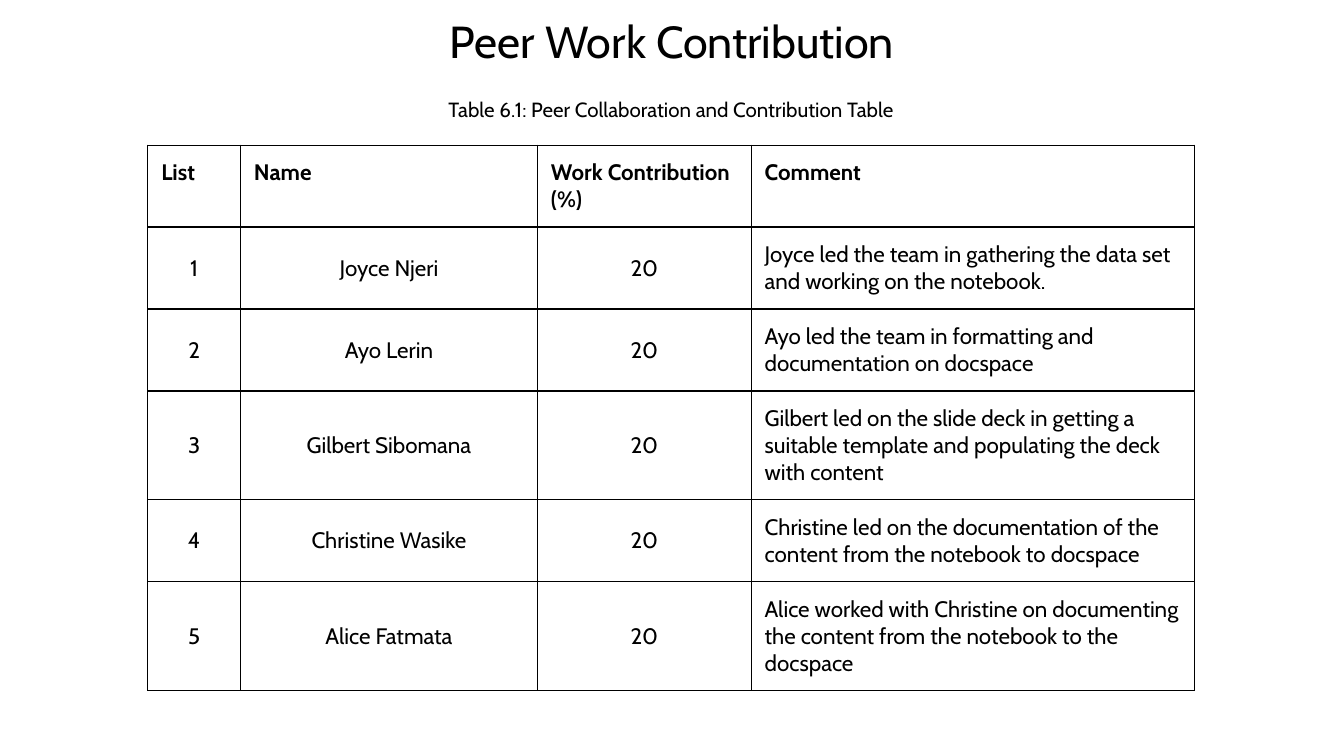
from lxml import etree
from pptx import Presentation
from pptx.dml.color import RGBColor
from pptx.enum.text import MSO_ANCHOR as Anchor, MSO_AUTO_SIZE as AutoSize, PP_ALIGN as Align
from pptx.oxml.ns import qn
from pptx.util import Inches, Pt

COLORS = {"ink": "000000", "paper": "FFFFFF"}
FONT = "Cabin"
INSET = Inches(0.1)


def write(frame, text, size, align=Align.CENTER, bold=False):
    """Put one formatted run into a text frame."""
    frame.word_wrap = True
    paragraph = frame.paragraphs[0]
    paragraph.alignment = align
    run = paragraph.add_run()
    run.text = text
    run.font.name = FONT
    run.font.size = Pt(size)
    run.font.bold = bold
    run.font.color.rgb = RGBColor.from_string(COLORS["ink"])


def set_borders(cell):
    """Draw a thin line on all four sides; lines must precede the fill in tcPr."""
    properties = cell._tc.get_or_add_tcPr()
    for position, side in enumerate(("a:lnL", "a:lnR", "a:lnT", "a:lnB")):
        line = etree.Element(qn(side), w=str(Pt(0.75)))
        fill = etree.SubElement(line, qn("a:solidFill"))
        etree.SubElement(fill, qn("a:srgbClr"), val=COLORS["ink"])
        properties.insert(position, line)


# Widescreen slide, 16:9
prs = Presentation()
prs.slide_width, prs.slide_height = Inches(10), Inches(10 * 9 / 16)
slide = prs.slides.add_slide(prs.slide_layouts[5])
slide.background.fill.solid()
slide.background.fill.fore_color.rgb = RGBColor.from_string(COLORS["paper"])

# Title and table caption
title = slide.shapes.title
title.left, title.top = Inches(0.2), Inches(0)
title.width, title.height = Inches(9.6), Inches(0.63)
caption = slide.shapes.add_textbox(Inches(1.83), Inches(0.63), Inches(6.33), Inches(0.39))
for heading, text, size, fit in (
    (title, "Peer Work Contribution", 24, AutoSize.NONE),
    (caption, "Table 6.1: Peer Collaboration and Contribution Table", 11,
     AutoSize.SHAPE_TO_FIT_TEXT),
):
    frame = heading.text_frame
    frame.margin_left = frame.margin_right = frame.margin_top = frame.margin_bottom = INSET
    frame.vertical_anchor = Anchor.TOP
    frame.auto_size = fit
    write(frame, text, size)

# Contribution table: each row is as tall as its number of text lines needs
headers = ("List", "Name", "Work Contribution (%)", "Comment")
members = (
    ("Joyce Njeri", "Joyce led the team in gathering the data set and working on the notebook."),
    ("Ayo Lerin", "Ayo led the team in formatting and documentation on docspace"),
    ("Gilbert Sibomana", "Gilbert led on the slide deck in getting a suitable template "
                         "and populating the deck with content"),
    ("Christine Wasike", "Christine led on the documentation of the content "
                         "from the notebook to docspace"),
    ("Alice Fatmata", "Alice worked with Christine on documenting the content "
                      "from the notebook to the docspace"),
)
share = 100 // len(members)
rows = [headers] + [(str(number), name, str(share), comment)
                    for number, (name, comment) in enumerate(members, 1)]
column_widths = (0.69, 2.21, 1.59, 3.3)
two_lines, three_lines = 0.61, 0.81
row_heights = (two_lines, two_lines, two_lines, three_lines, two_lines, three_lines)

contributions = slide.shapes.add_table(
    len(rows), len(headers), Inches(1.1), Inches(1.08),
    Inches(sum(column_widths)), Inches(sum(row_heights))).table
contributions.first_row = contributions.horz_banding = False
for column, width in zip(contributions.columns, column_widths):
    column.width = Inches(width)

for row_index, (row, height) in enumerate(zip(rows, row_heights)):
    contributions.rows[row_index].height = Inches(height)
    is_header = row_index == 0
    for column_index, text in enumerate(row):
        cell = contributions.cell(row_index, column_index)
        cell.margin_left = cell.margin_right = cell.margin_top = cell.margin_bottom = INSET
        cell.vertical_anchor = Anchor.TOP if is_header else Anchor.MIDDLE
        cell.fill.background()
        set_borders(cell)
        is_left = is_header or headers[column_index] == "Comment"
        write(cell.text_frame, text, 12, Align.LEFT if is_left else Align.CENTER, is_header)

prs.save("out.pptx")
